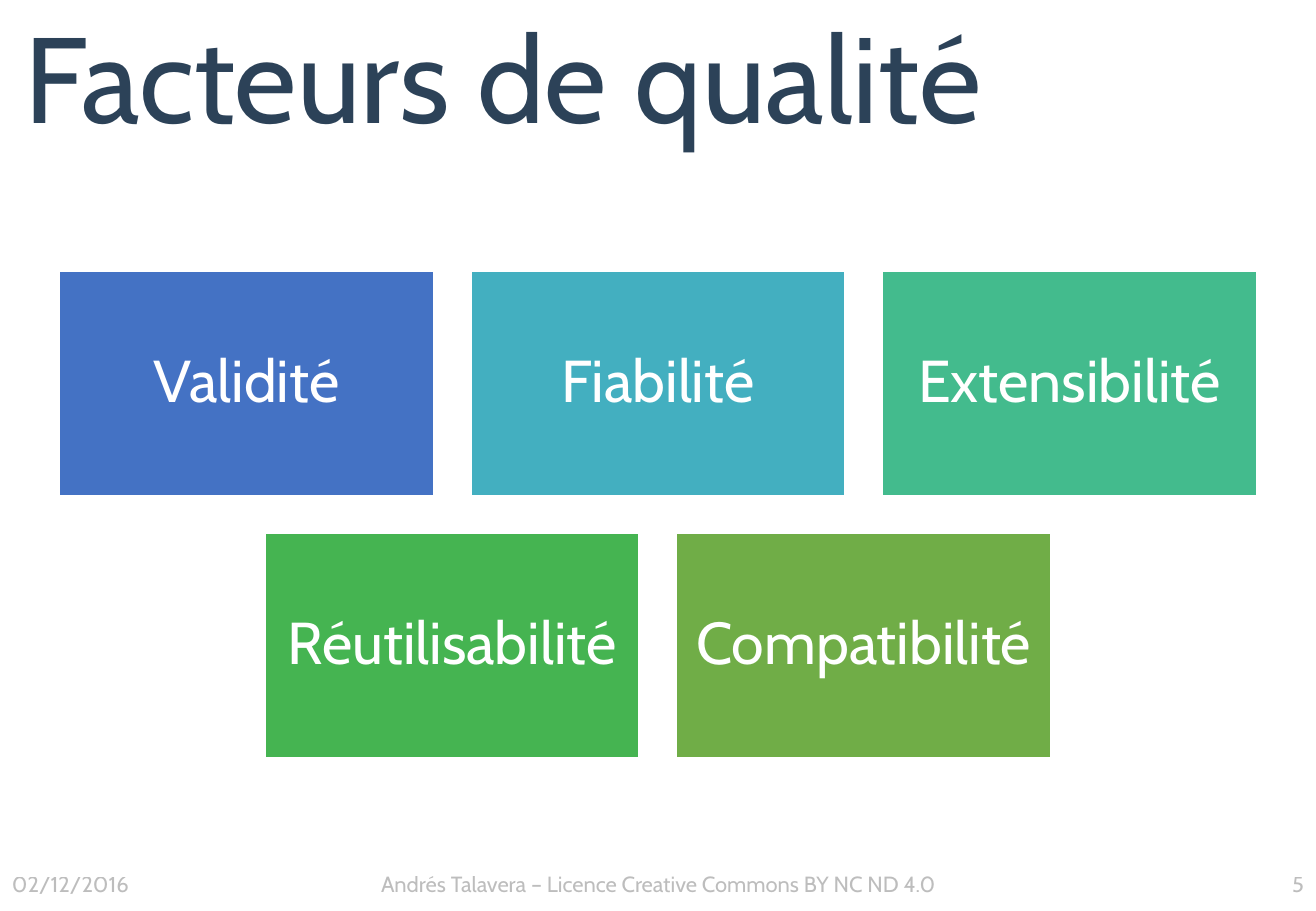
from lxml.etree import SubElement
from pptx import Presentation
from pptx.dml.color import RGBColor
from pptx.enum.shapes import MSO_SHAPE
from pptx.enum.text import MSO_ANCHOR, MSO_AUTO_SIZE, PP_ALIGN
from pptx.oxml.ns import qn
from pptx.util import Cm, Pt

COLORS = {
    "white": "FFFFFF",
    "black": "000000",
    "navy": "2C4258",
    "blue": "4472C4",
    "cyan": "43AFC0",
    "teal": "43BB8D",
    "green": "45B451",
    "olive": "70AD47",
}
SLIDE_W, SLIDE_H = 27.51, 19.05
BOX_W, BOX_H, GAP = 7.82, 4.7, 0.78
GRID_TOP = 5.67
FOOTER_H, FOOTER_SIDE_W = 1.03, 5.41

FACTOR_ROWS = [
    [("Validité", "blue"), ("Fiabilité", "cyan"), ("Extensibilité", "teal")],
    [("Réutilisabilité", "green"), ("Compatibilité", "olive")],
]


def rgb(name):
    return RGBColor.from_string(COLORS[name])


def write_text(sp, text, *, size, color, font, align=PP_ALIGN.LEFT,
               insets=(0, 0, 0, 0), line_spacing=None, opacity=None):
    """Fill a shape with one vertically centred paragraph; insets in cm."""
    tf = sp.text_frame
    tf.word_wrap = True
    tf.auto_size = MSO_AUTO_SIZE.NONE
    tf.vertical_anchor = MSO_ANCHOR.MIDDLE
    tf.margin_left, tf.margin_top, tf.margin_right, tf.margin_bottom = map(Cm, insets)
    p = tf.paragraphs[0]
    p.alignment = align
    if line_spacing:
        p.line_spacing = line_spacing
    r = p.add_run()
    r.text = text
    r.font.name = font
    r.font.size = Pt(size)
    r.font.color.rgb = rgb(color)
    if opacity is not None:
        clr = r.font.fill._xPr.find(".//" + qn("a:srgbClr"))
        SubElement(clr, qn("a:alpha")).set("val", str(opacity * 1000))


class SlideBuilder:
    """Adds styled elements to one slide; lengths are in cm."""

    font = "Cabin"

    def __init__(self, prs):
        self.slide = prs.slides.add_slide(prs.slide_layouts[5])

    def title(self, text):
        sp = self.slide.shapes.title
        sp.left, sp.top, sp.width, sp.height = map(Cm, (0, 0, SLIDE_W, 3.51))
        write_text(sp, text, size=72, color="navy", font=self.font,
                   insets=(0.51, 0, 0.51, 0), line_spacing=0.9)

    def box(self, text, color, left, top):
        sp = self.slide.shapes.add_shape(
            MSO_SHAPE.RECTANGLE, Cm(left), Cm(top), Cm(BOX_W), Cm(BOX_H))
        sp.shadow.inherit = False
        sp.fill.solid()
        sp.fill.fore_color.rgb = rgb(color)
        sp.line.color.rgb = rgb("white")
        sp.line.width = Pt(1)
        write_text(sp, text, size=35, color="white", font=self.font,
                   align=PP_ALIGN.CENTER, insets=(0.38,) * 4, line_spacing=0.9)

    def footer(self, text, left, width, align):
        sp = self.slide.shapes.add_textbox(
            Cm(left), Cm(SLIDE_H - FOOTER_H), Cm(width), Cm(FOOTER_H))
        write_text(sp, text, size=13, color="black", font=self.font,
                   align=align, insets=(0.25, 0, 0.25, 0.1), opacity=25)


def main():
    prs = Presentation()
    prs.slide_width, prs.slide_height = Cm(SLIDE_W), Cm(SLIDE_H)
    s = SlideBuilder(prs)
    s.title("Facteurs de qualité")

    for row, factors in enumerate(FACTOR_ROWS):
        row_w = len(factors) * (BOX_W + GAP) - GAP
        left = (SLIDE_W - row_w) / 2
        for col, (name, color) in enumerate(factors):
            s.box(name, color, left + col * (BOX_W + GAP),
                  GRID_TOP + row * (BOX_H + GAP))

    middle_w = SLIDE_W - 2 * FOOTER_SIDE_W
    s.footer("02/12/2016", 0, FOOTER_SIDE_W, PP_ALIGN.LEFT)
    s.footer("Andrés Talavera – Licence Creative Commons BY NC ND 4.0",
             FOOTER_SIDE_W, middle_w, PP_ALIGN.CENTER)
    s.footer("5", FOOTER_SIDE_W + middle_w, FOOTER_SIDE_W, PP_ALIGN.RIGHT)
    prs.save("out.pptx")


if __name__ == "__main__":
    main()
